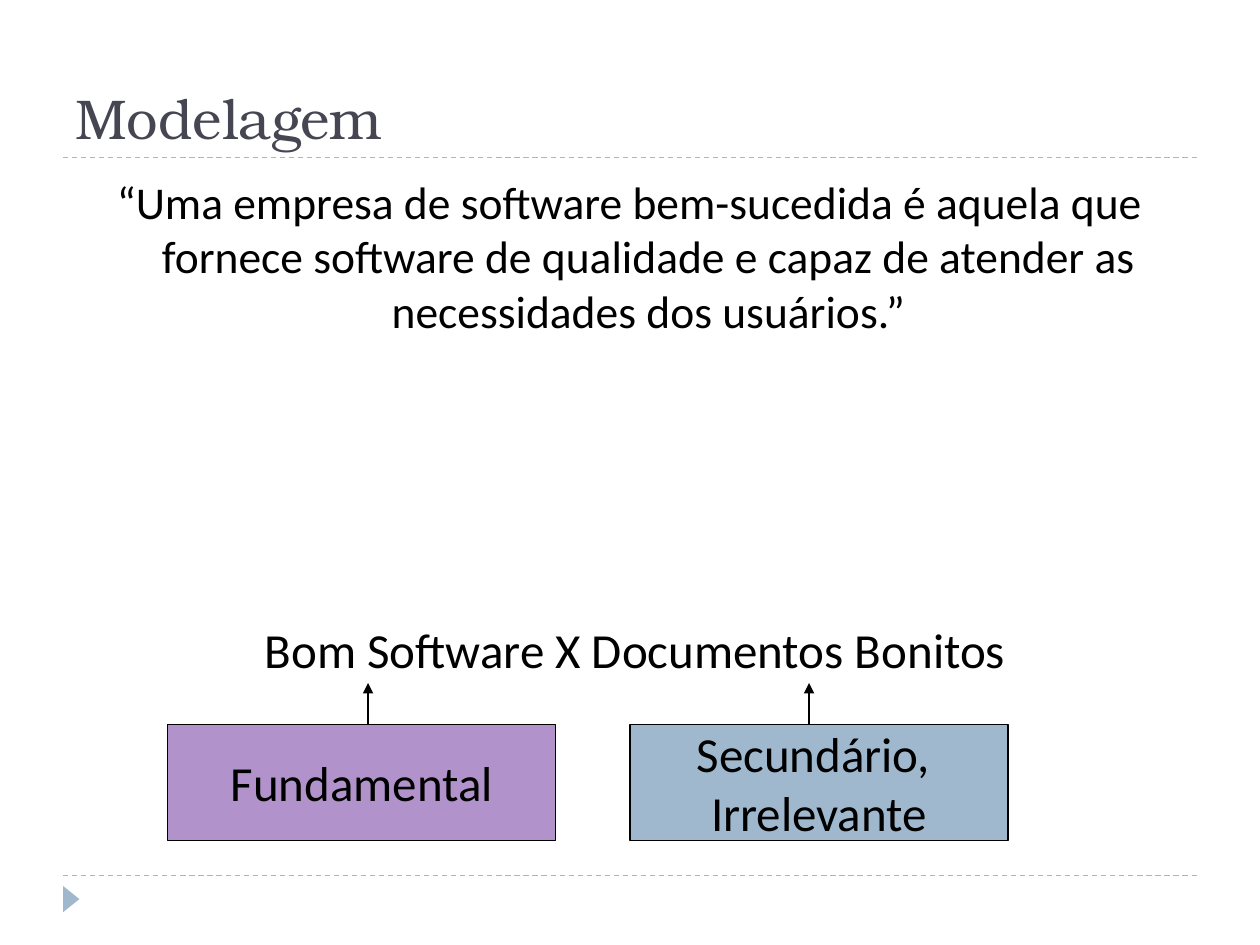
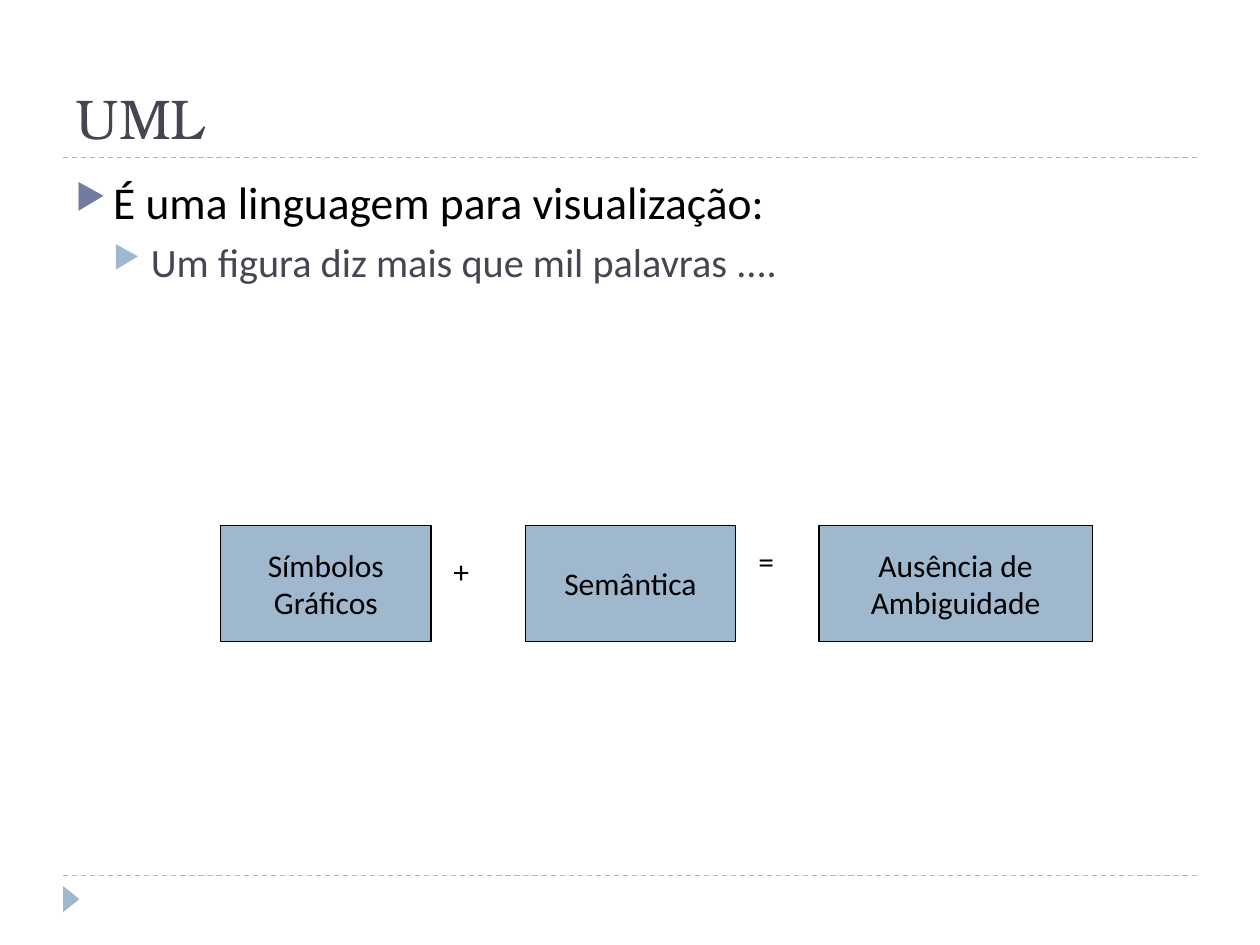
from lxml import etree
from pptx import Presentation
from pptx import util as u
from pptx.dml.color import RGBColor
from pptx.enum import dml, shapes, text
from pptx.oxml import ns

# Shared style
BLACK, SLATE, BLUE, INDIGO, PURPLE = "000000", "464653", "9FB8CD", "727CA3", "B292CA"
TITLE_FONT, BODY_FONT = "TeX Gyre Bonum", "Calibri"
LEFT, WIDTH = 1.27, 22.86
TITLE_RULE, FOOTER_RULE = 3.18, 17.65
INDENT = 0.76
CENTER = text.PP_ALIGN.CENTER


def rgb(value):
    return RGBColor.from_string(value)


def cm(*lengths):
    return [u.Cm(length) for length in lengths]


def sub(parent, tag, **attrs):
    return etree.SubElement(parent, ns.qn(tag), attrs)


def write(tf, content, size, color=BLACK, font=BODY_FONT, align=None):
    tf.text = content
    for p in tf.paragraphs:
        p.alignment = align
        for r in p.runs:
            r.font.size = u.Pt(size)
            r.font.name = font
            r.font.color.rgb = rgb(color)


def add_text(s, at, content, size, wrap=True, **style):
    tf = s.shapes.add_textbox(*cm(*at)).text_frame
    tf.word_wrap = wrap
    write(tf, content, size, **style)
    return tf


def add_box(s, at, content, size, fill=BLUE):
    sp = s.shapes.add_shape(shapes.MSO_SHAPE.RECTANGLE, *cm(*at))
    sp.shadow.inherit = False
    sp.fill.solid()
    sp.fill.fore_color.rgb = rgb(fill)
    sp.line.color.rgb = rgb(BLACK)
    sp.line.width = u.Pt(0.75)
    tf = sp.text_frame
    tf.word_wrap = False
    tf.vertical_anchor = text.MSO_ANCHOR.MIDDLE
    write(tf, content, size, align=CENTER)


def add_line(s, x1, y1, x2, y2, color):
    line = s.shapes.add_connector(shapes.MSO_CONNECTOR.STRAIGHT, *cm(x1, y1, x2, y2))
    line.line.color.rgb = rgb(color)
    line.line.width = u.Pt(0.75)
    sub(line._element.spPr, "a:effectLst")
    return line


def add_rule(s, y):
    rule = add_line(s, LEFT, y, LEFT + WIDTH, y, BLUE)
    rule.line.dash_style = dml.MSO_LINE.DASH


def add_arrow(s, x, bottom, top):
    arrow = add_line(s, x, bottom, x, top, BLACK)
    sub(arrow.line._get_or_add_ln(), "a:tailEnd", type="triangle")


def hang(p, level=0):
    pPr = p._p.get_or_add_pPr()
    pPr.set("marL", str(u.Cm(INDENT * (level + 1))))
    pPr.set("indent", str(-u.Cm(INDENT)))
    return pPr


def add_bullet(p, color, level=0):
    p.level = level
    pPr = hang(p, level)
    sub(sub(pPr, "a:buClr"), "a:srgbClr", val=color)
    sub(pPr, "a:buSzPct", val="76000")
    sub(pPr, "a:buChar", char="▶")


def add_body(s, content, **style):
    return add_text(s, (LEFT, 3.38, WIDTH, 13.72), content, 26, **style)


def add_slide(prs, title):
    s = prs.slides.add_slide(prs.slide_layouts[6])
    for y in (FOOTER_RULE, TITLE_RULE):
        add_rule(s, y)
    marker = s.shapes.add_shape(shapes.MSO_SHAPE.ISOSCELES_TRIANGLE,
                                *cm(1.17, 17.96, 0.53, 0.33))
    marker.rotation = 90
    marker.shadow.inherit = False
    marker.fill.solid()
    marker.fill.fore_color.rgb = rgb(BLUE)
    marker.line.fill.background()
    tf = add_text(s, (LEFT, 0.43, WIDTH, 2.74), title, 32, color=SLATE, font=TITLE_FONT)
    tf.vertical_anchor = text.MSO_ANCHOR.BOTTOM
    return s


def modelling_slide(prs):
    s = add_slide(prs, "Modelagem")
    quote = add_body(s, "“Uma empresa de software bem-sucedida é aquela que fornece "
                        "software de qualidade e capaz de atender as necessidades "
                        "dos usuários.”", align=CENTER)
    hang(quote.paragraphs[0])
    add_text(s, (1.47, 12.37, 22.66, 1.45), "Bom Software X Documentos Bonitos", 28,
             align=CENTER)

    # Verdicts pointing up at the two sides of the comparison
    top, height = 14.6, 2.34
    for left, width, label, fill, arrow_x in (
            (3.38, 7.82, "Fundamental", PURPLE, 7.42),
            (12.7, 7.62, "Secundário, \nIrrelevante", BLUE, 16.31)):
        add_box(s, (left, top, width, height), label, 28, fill)
        add_arrow(s, arrow_x, top, 13.77)


def uml_slide(prs):
    s = add_slide(prs, "UML")
    tf = add_body(s, "É uma linguagem para visualização:")
    add_bullet(tf.paragraphs[0], INDIGO)
    p = tf.add_paragraph()
    p.text = "Um figura diz mais que mil palavras ...."
    add_bullet(p, BLUE, level=1)
    p.space_before = u.Pt(5)
    font = p.runs[0].font
    font.size, font.name, font.color.rgb = u.Pt(23), BODY_FONT, rgb(SLATE)

    # Equation: symbols + semantics = no ambiguity
    for left, width, label in ((4.45, 4.24, "Símbolos\nGráficos"),
                               (10.59, 4.24, "Semântica"),
                               (16.51, 5.51, "Ausência de\nAmbiguidade")):
        add_box(s, (left, 10.59, width, 2.34), label, 18)
    for left, top, sign in ((8.89, 11, "+"), (15.04, 10.8, "=")):
        add_text(s, (left, top, 1.12, 1.27), sign, 18, wrap=False)


def main():
    prs = Presentation()
    prs.slide_width, prs.slide_height = cm(25.4, 19.05)
    modelling_slide(prs)
    uml_slide(prs)
    prs.save("out.pptx")


if __name__ == "__main__":
    main()
